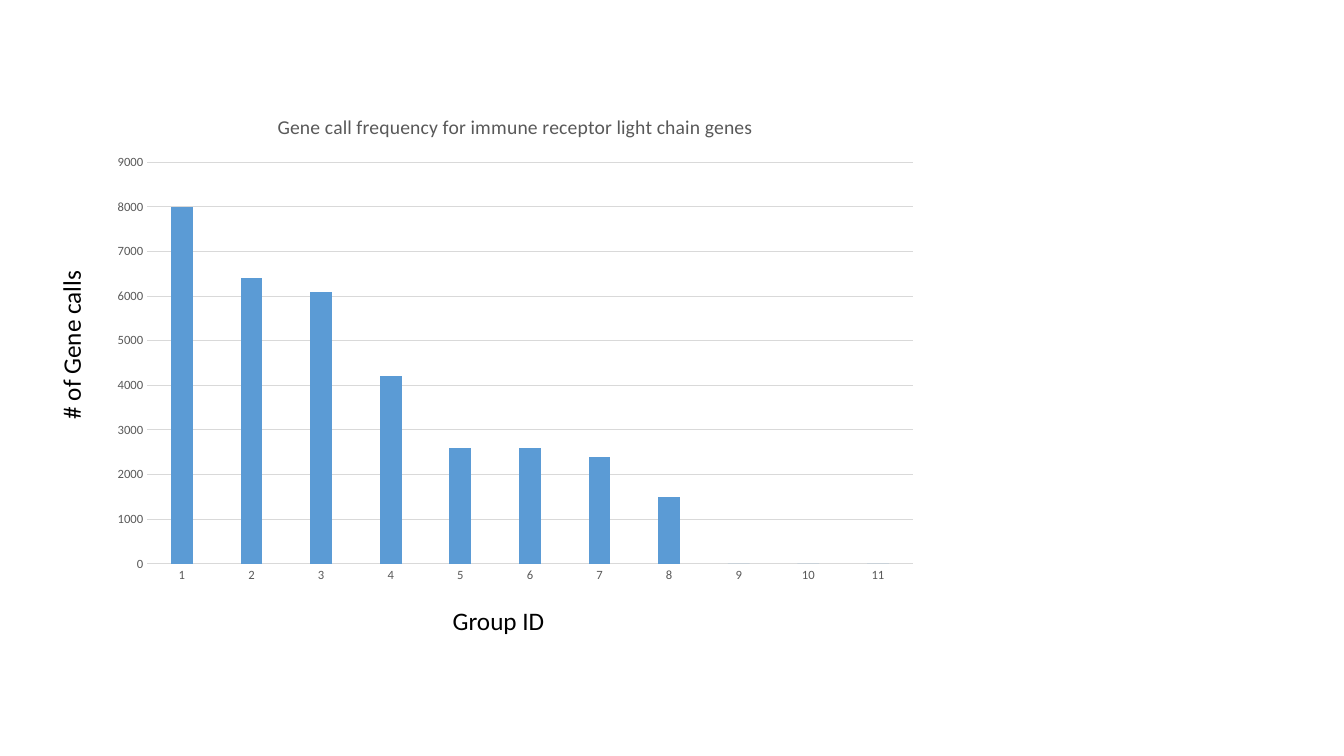
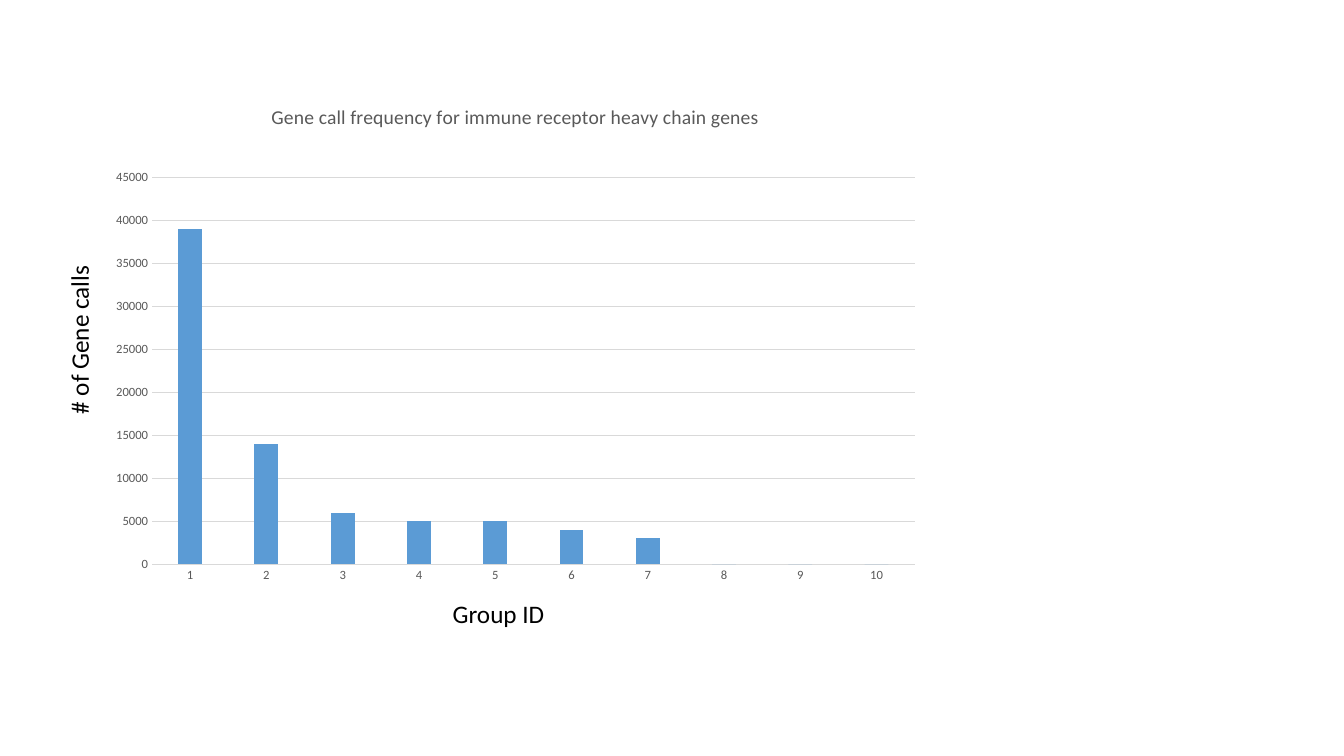
from pptx import Presentation
from pptx import util as u
from pptx.chart.data import CategoryChartData
from pptx.dml.color import RGBColor
from pptx.enum import chart as ch, text
from pptx.oxml import parse_xml
from pptx.oxml.ns import nsdecls, qn

BAR = RGBColor(0x5B, 0x9B, 0xD5)
GRID = RGBColor(0xD9, 0xD9, 0xD9)
GREY = RGBColor(0x59, 0x59, 0x59)
BLACK = RGBColor(0, 0, 0)
FONT = "Calibri"
WIDTH, HEIGHT = u.Inches(13.33), u.Inches(7.5)

BASE_FONT = {"name": FONT, "size": u.Pt(10)}
TITLE_FONT = {"name": FONT, "size": u.Pt(14), "bold": False}
TICK_FONT = {"name": FONT, "size": u.Pt(9)}
LABEL_FONT = {"name": FONT, "size": u.Pt(18)}

SLIDES = [
    {
        "title": "Gene call frequency for immune receptor light chain genes",
        "values": [8000, 6400, 6100, 4200, 2600, 2600, 2400, 1500, 0, 0, 0],
        "top": 9000,
        "step": 1000,
        "chart": (7.5, 12.67, 61.65, 65.73),
        "title_at": (20.9, 2.8),
        "plot_at": (5.6, 13.4, 92.4, 80.8),
        "x_label": (32.95, 79.47, 8.4, 5.33),
        "y_label": (-1.1, 42.8, 12.75, 5.33),
    },
    {
        "title": "Gene call frequency for immune receptor heavy chain genes",
        "values": [39000, 14000, 6000, 5000, 5000, 4000, 3000, 0, 0, 0],
        "top": 45000,
        "step": 5000,
        "chart": (7.35, 11.2, 61.95, 67.2),
        "title_at": (20.3, 2.9),
        "plot_at": (6.4, 18.2, 91.6, 76.2),
        "x_label": (32.95, 78.45, 8.4, 5.33),
        "y_label": (-0.5, 42.13, 12.75, 5.33),
    },
]


def apply(target, formats):
    for name, value in formats.items():
        setattr(target, name, value)


def style_font(font, formats, color):
    apply(font, formats)
    font.color.rgb = color


def style_line(line):
    line.color.rgb = GRID
    line.width = u.Pt(0.75)


def place(box):
    x, y, w, h = box
    return [u.Emu(round(side * share / 100))
            for side, share in ((WIDTH, x), (HEIGHT, y), (WIDTH, w), (HEIGHT, h))]


def manual_layout(shares, inner=False):
    target = '<c:layoutTarget val="inner"/>' if inner else ""
    modes = '<c:xMode val="edge"/><c:yMode val="edge"/>'
    sides = "".join(f'<c:{side} val="{share / 100:.3f}"/>'
                    for side, share in zip("xywh", shares))
    return parse_xml(f'<c:layout {nsdecls("c")}><c:manualLayout>'
                     f"{target}{modes}{sides}</c:manualLayout></c:layout>")


def set_layout(parent, index, layout):
    for old in parent.findall(qn("c:layout")):
        parent.remove(old)
    parent.insert(index, layout)


def add_title(chart, title, shares):
    chart.has_title = True
    tf = chart.chart_title.text_frame
    tf.text = title
    style_font(tf.paragraphs[0].runs[0].font, TITLE_FONT, GREY)
    chart.chart_title.include_in_layout = False
    set_layout(chart.chart_title.element, 1, manual_layout(shares))


def style_axes(chart, top, step):
    for axis in (chart.category_axis, chart.value_axis):
        apply(axis, {"major_tick_mark": ch.XL_TICK_MARK.NONE,
                     "minor_tick_mark": ch.XL_TICK_MARK.NONE})
        style_font(axis.tick_labels.font, TICK_FONT, GREY)
    style_line(chart.category_axis.format.line)
    axis = chart.value_axis
    apply(axis, {"minimum_scale": 0, "maximum_scale": top,
                 "major_unit": step, "has_major_gridlines": True})
    axis.format.line.fill.background()
    style_line(axis.major_gridlines.format.line)


def add_column_chart(s, content):
    data = CategoryChartData()
    values = content["values"]
    data.categories = [str(i) for i in range(1, len(values) + 1)]
    data.add_series("Series 1", values)
    chart = s.shapes.add_chart(ch.XL_CHART_TYPE.COLUMN_CLUSTERED,
                               *place(content["chart"]), data).chart
    chart.has_legend = False
    style_font(chart.font, BASE_FONT, BLACK)
    add_title(chart, content["title"], content["title_at"])
    style_axes(chart, content["top"], content["step"])
    plot = chart.plots[0]
    apply(plot, {"gap_width": 219, "overlap": -27, "vary_by_categories": False})
    fill = plot.series[0].format.fill
    fill.solid()
    fill.fore_color.rgb = BAR
    set_layout(chart.element.find(".//" + qn("c:plotArea")), 0,
               manual_layout(content["plot_at"], inner=True))


def add_label(s, wording, box, rotation=0):
    sp = s.shapes.add_textbox(*place(box))
    sp.rotation = rotation
    tf = sp.text_frame
    apply(tf, {"word_wrap": False, "auto_size": text.MSO_AUTO_SIZE.SHAPE_TO_FIT_TEXT})
    r = tf.paragraphs[0].add_run()
    r.text = wording
    style_font(r.font, LABEL_FONT, BLACK)


def main():
    prs = Presentation()
    apply(prs, {"slide_width": WIDTH, "slide_height": HEIGHT})
    for content in SLIDES:
        s = prs.slides.add_slide(prs.slide_layouts[6])
        add_column_chart(s, content)
        add_label(s, "Group ID", content["x_label"])
        add_label(s, "# of Gene calls", content["y_label"], 270)
    prs.save("out.pptx")


main()
